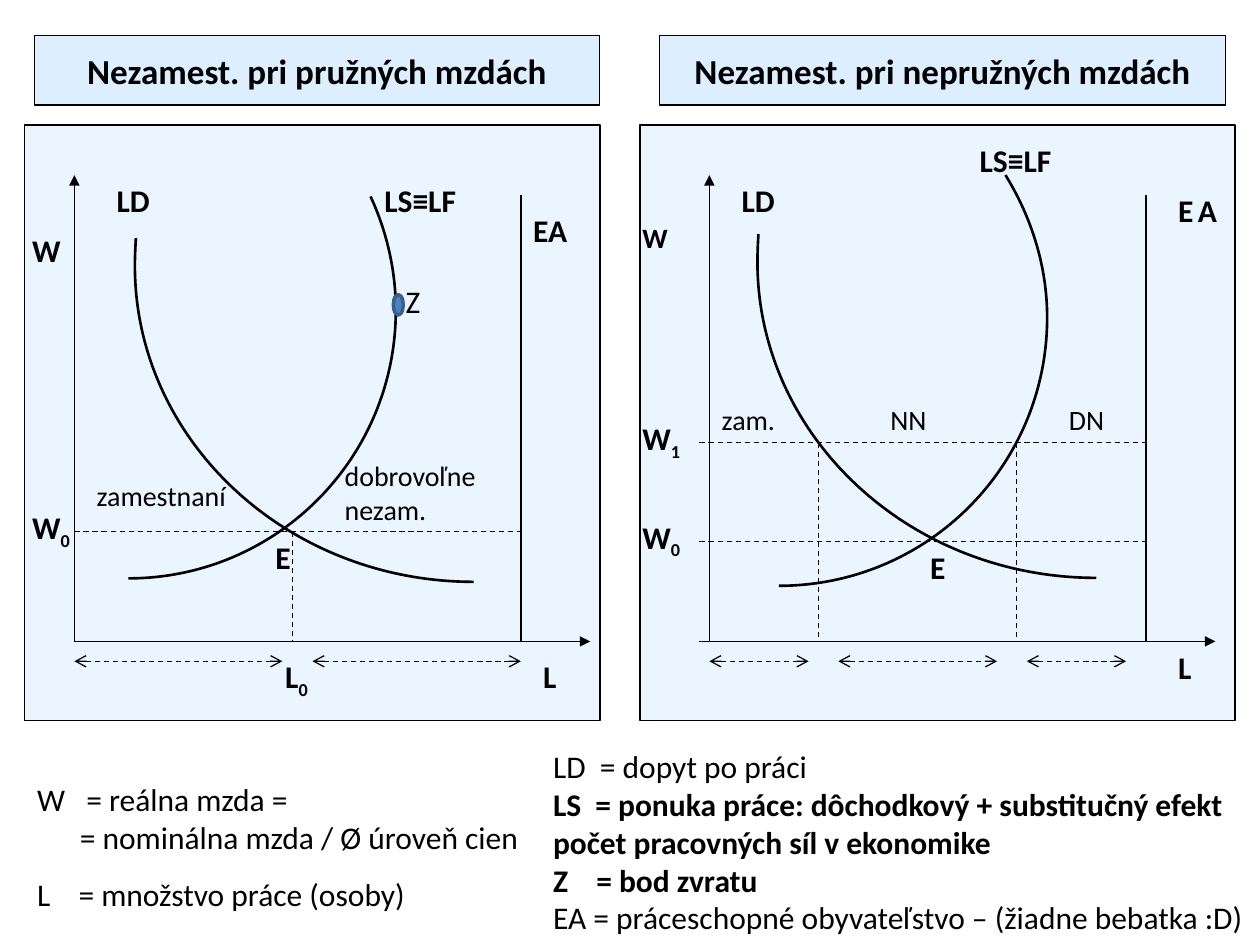
from dataclasses import dataclass

from lxml import etree
from pptx import Presentation
from pptx.dml.color import RGBColor
from pptx.enum.dml import MSO_LINE
from pptx.enum.shapes import MSO_CONNECTOR, MSO_SHAPE
from pptx.enum.text import MSO_ANCHOR, PP_ALIGN
from pptx.oxml.ns import qn
from pptx.util import Cm, Pt

RECT, OVAL = MSO_SHAPE.RECTANGLE, MSO_SHAPE.OVAL
STRAIGHT = MSO_CONNECTOR.STRAIGHT
DASH = MSO_LINE.DASH
MIDDLE, CENTER = MSO_ANCHOR.MIDDLE, PP_ALIGN.CENTER
BLACK, PALE, SKY = "000000", "EBF5FF", "DDEEFF"
FONT = "Calibri"
BASE = 12.93  # height of the labour axis
TOP = 3.53    # tip of the wage axis
SPAN = 13.33  # height of the range arrows


@dataclass
class Label:
    text: str  # an underscore starts a subscript
    x: float
    y: float
    w: float
    size: int = 18
    bold: bool = True
    h: float = 1.02


@dataclass
class Graph:
    title: str
    head: float
    left: float
    width: float
    wage: float
    axis: tuple[float, float]
    ea: float
    curves: list[list[tuple[float, float]]]
    dashes: list[tuple[float, float, float, float]]
    spans: list[tuple[float, float]]
    labels: list[Label]


@dataclass
class Entry:
    sign: str
    text: str
    gap: int = 0  # points added to the space after the sign
    bold: bool = False
    indent: float = 0
    before: int = 0


def color(code: str) -> RGBColor:
    return RGBColor.from_string(code)


def style(font, size: int, bold: bool) -> None:
    font.name, font.size, font.bold = FONT, Pt(size), bold
    font.color.rgb = color(BLACK)


def add_run(para, text: str, **marks: str) -> None:
    run = para.add_run()
    run.text = text
    for name, value in marks.items():
        run._r.get_or_add_rPr().set(name, value)


def add_line(x1, y1, x2, y2, width=0.75, dash=False, head="", tail="") -> None:
    line = shapes.add_connector(STRAIGHT, Cm(x1), Cm(y1), Cm(x2), Cm(y2))
    line.line.color.rgb = color(BLACK)
    line.line.width = Pt(width)
    if dash:
        line.line.dash_style = DASH
    ln = line.line._get_or_add_ln()
    for end, kind in (("a:headEnd", head), ("a:tailEnd", tail)):
        if kind:
            etree.SubElement(ln, qn(end)).set("type", kind)
    etree.SubElement(line._element.spPr, qn("a:effectLst"))


def add_curve(points: list[tuple[float, float]]) -> None:
    """Draw Bezier arcs: a start, then three points for each arc."""
    (x, y), *rest = points
    build = shapes.build_freeform(round(x * 100), round(y * 100), Cm(0.01))
    build.add_line_segments([(round(a * 100), round(b * 100)) for a, b in rest],
                            close=False)
    curve = build.convert_to_shape()
    curve.shadow.inherit = False
    curve.fill.background()
    curve.line.color.rgb = color(BLACK)
    curve.line.width = Pt(1.5)
    # Join each three straight steps into one cubic arc
    steps = list(curve._element.iter(qn("a:lnTo")))
    for i in range(0, len(steps), 3):
        arc = etree.Element(qn("a:cubicBezTo"))
        steps[i].addprevious(arc)
        for step in steps[i:i + 3]:
            arc.append(step[0])
            step.getparent().remove(step)


def add_box(kind, x, y, w, h, fill, edge=BLACK, width=0.75):
    box = shapes.add_shape(kind, Cm(x), Cm(y), Cm(w), Cm(h))
    box.shadow.inherit = False
    box.fill.solid()
    box.fill.fore_color.rgb = color(fill)
    box.line.color.rgb = color(edge)
    box.line.width = Pt(width)
    return box


def add_text(x, y, w, h):
    frame = shapes.add_textbox(Cm(x), Cm(y), Cm(w), Cm(h)).text_frame
    frame.word_wrap = True
    return frame


def add_label(item: Label) -> None:
    frame = add_text(item.x, item.y, item.w, item.h)
    for i, text in enumerate(item.text.split("\n")):
        para = frame.add_paragraph() if i else frame.paragraphs[0]
        style(para.font, item.size, item.bold)
        main, _, sub = text.partition("_")
        add_run(para, main)
        if sub:
            add_run(para, sub, baseline="-25000")


def add_key(x, y, w, h, items: list[Entry]) -> None:
    frame = add_text(x, y, w, h)
    frame.margin_right = 0
    for i, item in enumerate(items):
        para = frame.add_paragraph() if i else frame.paragraphs[0]
        if item.indent:
            para._p.get_or_add_pPr().set("marL", str(Cm(item.indent)))
        if item.before:
            para.space_before = Pt(item.before)
        style(para.font, 18, item.bold)
        if item.sign:
            add_run(para, item.sign)
            add_run(para, " ", spc=str(item.gap * 100))
        add_run(para, item.text)


def add_graph(g: Graph) -> None:
    title = add_box(RECT, g.head, 0.72, 11.4, 1.4, SKY).text_frame
    title.vertical_anchor = MIDDLE
    para = title.paragraphs[0]
    para.alignment = CENTER
    style(para.font, 20, True)
    add_run(para, g.title)

    add_box(RECT, g.left, 2.52, g.width, 12, PALE)
    add_line(g.axis[0], BASE, g.axis[1], BASE, tail="triangle")
    add_line(g.wage, BASE, g.wage, TOP, tail="triangle")
    add_line(g.ea, 3.94, g.ea, BASE, 1.5)
    for curve in g.curves:
        add_curve(curve)
    for ends in g.dashes:
        add_line(*ends, dash=True)
    for a, b in g.spans:
        add_line(a, SPAN, b, SPAN, dash=True, head="arrow", tail="arrow")
    for item in g.labels:
        add_label(item)


deck = Presentation()
deck.slide_width, deck.slide_height = Cm(25.4), Cm(19.05)
shapes = deck.slides.add_slide(deck.slide_layouts[6]).shapes

# Labour demand, shared by both graphs up to a shift
demand = [(9.55, 11.73), (5.77, 11.73), (2.72, 8.86), (2.72, 5.36),
          (2.72, 5.17), (2.73, 4.98), (2.74, 4.8)]

# Flexible wages
add_graph(Graph(
    "Nezamest. pri pružných mzdách", 0.69, 0.5, 11.6, 1.5, (1.5, 11.9), 10.5,
    [demand, [(2.59, 11.66), (5.56, 11.66), (7.98, 9.25), (7.98, 6.25),
              (7.98, 5.46), (7.8, 4.67), (7.47, 3.96)]],
    [(1.5, 10.72, 10.5, 10.72), (5.89, 10.72, 5.89, BASE)],
    [(1.5, 5.69), (6.3, 10.5)],
    [Label("W", 0.4, 4.53, 1.3), Label("L", 10.7, 13.13, 1.6),
     Label("LD", 2.1, TOP, 1.4), Label("LS≡LF", 7.5, TOP, 2.6),
     Label("E", 5.3, 10.72, 1.2), Label("W_0", 0.4, 10.12, 1.7),
     Label("EA", 10.5, 4.12, 1.8), Label("L_0", 5.5, 13.13, 1.6),
     Label("zamestnaní", 1.7, 9.53, 3.6, 16, False, 0.94),
     Label("dobrovoľne\nnezam.", 6.7, 9.12, 3.6, 16, False, 1.63)]))

# Turning point of supply
add_box(OVAL, 7.93, 5.94, 0.2, 0.41, "4F81BD", "3A5F8C", 2)
add_label(Label("Z", 7.93, 5.56, 0.9, bold=False))

# Rigid wages
add_graph(Graph(
    "Nezamest. pri nepružných mzdách", 13.3, 12.9, 12, 14.3, (14.1, 24.5), 23.1,
    [[(x + 12.55, y - 0.08) for x, y in demand],
     [(15.7, 11.81), (18.69, 11.81), (21.11, 9.4), (21.11, 6.4),
      (21.11, 5.38), (20.8, 4.39), (20.27, TOP)]],
    [(14.1, y, 23.1, y) for y in (10.92, 8.92)]
    + [(x, 8.92, x, BASE) for x in (16.5, 20.49)],
    [(14.3, 16.3), (16.9, 20.1), (20.7, 22.7)],
    [Label("W", 12.7, 4.32, 1.2, 16, h=0.94), Label("LD", 14.7, TOP, 1.8),
     Label("LS≡LF", 19.5, 2.72, 2.8), Label("E", 23.5, 3.73, 1),
     Label("A", 23.9, 3.73, 1.2), Label("L", 23.5, BASE, 1.6),
     Label("E", 18.5, 10.92, 1), Label("W_0", 12.7, 10.31, 1.4),
     Label("W_1", 12.7, 8.33, 1.4)]
    + [Label(text, x, 8, w, 16, False, 0.94) for text, x, w in
       (("zam.", 14.3, 2.4), ("NN", 17.7, 1.8), ("DN", 21.3, 2))]))

# Key to the symbols
add_key(0.5, 15.6, 11, 3.4, [
    Entry("W", "= reálna mzda =", 8),
    Entry("", "= nominálna mzda / Ø úroveň cien", indent=0.86),
    Entry("L", "= množstvo práce (osoby)", 12, before=11)])
add_key(10.9, 14.94, 14.5, 4.11, [
    Entry("LD", "= dopyt po práci", 4),
    Entry("LS", "= ponuka práce: dôchodkový + substitučný efekt", 4, True),
    Entry("", "počet pracovných síl v ekonomike", bold=True),
    Entry("Z", "= bod zvratu", 12, True),
    Entry("EA", "= práceschopné obyvateľstvo – (žiadne bebatka :D)")])

deck.save("out.pptx")
